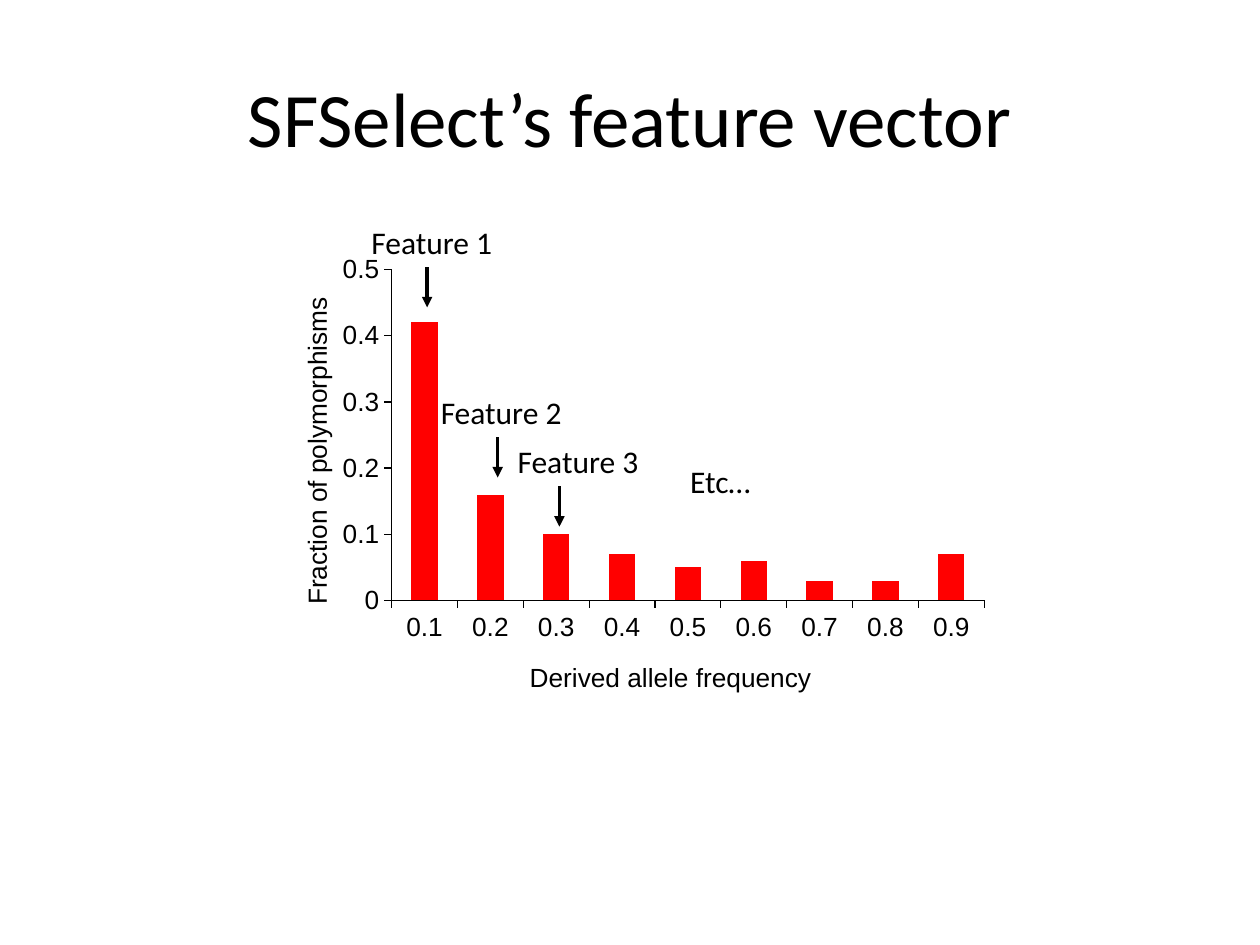
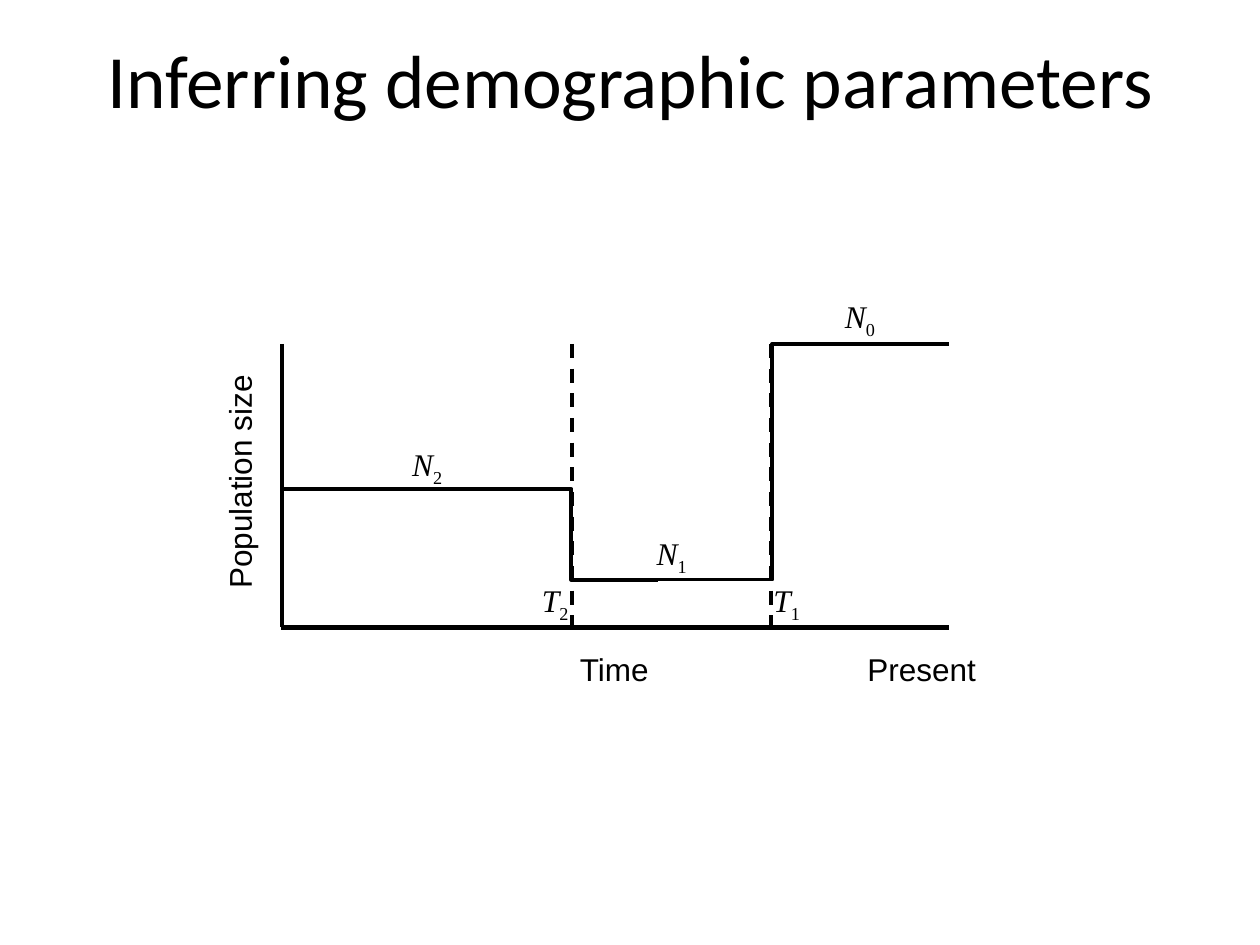
"""Build two slides on a feature vector and on demographic parameters."""
from dataclasses import dataclass

import pptx
import pptx.chart.data
import pptx.dml.color
import pptx.enum.chart
import pptx.enum.dml
import pptx.enum.shapes
import pptx.enum.text
import pptx.oxml.ns
import pptx.oxml.xmlchemy
import pptx.util

Inches = pptx.util.Inches
Pt = pptx.util.Pt
Align = pptx.enum.text.PP_ALIGN
Connector = pptx.enum.shapes.MSO_CONNECTOR
qn = pptx.oxml.ns.qn
new_element = pptx.oxml.xmlchemy.OxmlElement

BLACK = pptx.dml.color.RGBColor(0x00, 0x00, 0x00)
RED = pptx.dml.color.RGBColor(0xFF, 0x00, 0x00)
HEADING_FONT, AXIS_FONT, MATH_FONT = "Calibri", "Arial", "Times New Roman"

FREQUENCIES = [f"0.{tenth}" for tenth in range(1, 10)]
FRACTIONS = [0.42, 0.16, 0.1, 0.07, 0.05, 0.06, 0.03, 0.03, 0.07]


@dataclass(frozen=True)
class Feature:
    """A bar label and the arrow that drops from it."""
    text: str
    left: float
    top: float
    arrow_x: float


@dataclass(frozen=True)
class Symbol:
    """A variable with its subscript, placed in a box."""
    letter: str
    index: str
    left: float
    top: float
    width: float
    align: Align = Align.CENTER


@dataclass(frozen=True)
class Line:
    """A connector between two points."""
    start: tuple[float, float]
    end: tuple[float, float]
    width: float
    kind: Connector = Connector.STRAIGHT
    dashed: bool = False
    bend: float | None = None
    arrow: bool = False


ARROW_LENGTH = 0.32
FEATURES = [
    Feature("Feature 1", 2.85, 1.72, 3.39),
    Feature("Feature 2", 3.4, 3.07, 3.95),
    Feature("Feature 3", 4.01, 3.46, 4.44),
]

ORIGIN_X, PRESENT_X, BASE_Y, TOP_Y = 2.24, 7.53, 4.98, 2.73
T2_X, T1_X, N2_Y, N1_Y = 4.54, 6.12, 3.88, 4.6
LINES = [
    Line((PRESENT_X, BASE_Y), (ORIGIN_X - 0.01, BASE_Y), 2.5),
    Line((ORIGIN_X, TOP_Y), (ORIGIN_X, BASE_Y), 2.5),
    Line((ORIGIN_X, N2_Y), (5.22, N1_Y), 2.25, Connector.ELBOW, bend=0.77),
    Line((4.73, N1_Y), (PRESENT_X, TOP_Y), 2.25, Connector.ELBOW),
    Line((T2_X, TOP_Y), (T2_X, BASE_Y), 2, dashed=True),
    Line((T1_X, TOP_Y), (T1_X, BASE_Y), 2, dashed=True),
]
SYMBOLS = [
    Symbol("N", "2", ORIGIN_X, 3.48, T2_X - ORIGIN_X),
    Symbol("N", "0", T1_X, 2.31, PRESENT_X - T1_X),
    Symbol("N", "1", T2_X, 4.19, T1_X - T2_X),
    Symbol("T", "1", 6.04, 4.56, 2.13, Align.LEFT),
    Symbol("T", "2", 2.48, 4.56, 2.13, Align.RIGHT),
]


def set_font(font, name: str, size: float, italic: bool = False) -> None:
    """Give a font its black regular format."""
    font.name, font.size = name, Pt(size)
    font.bold, font.italic = False, italic
    font.color.rgb = BLACK


def add_text(page, text: str, left: float, top: float, width: float, height: float = 0.4, *,
             font: str = HEADING_FONT, size: float = 18, align: Align = Align.LEFT,
             italic: bool = False, subscript: str = "", wrap: bool = True,
             middle: bool = False, rotation: float = 0) -> None:
    """Add a text box with one paragraph and an optional subscript."""
    box = page.shapes.add_textbox(Inches(left), Inches(top), Inches(width), Inches(height))
    box.rotation = rotation
    frame = box.text_frame
    frame.word_wrap = wrap
    if middle:
        frame.vertical_anchor = pptx.enum.text.MSO_ANCHOR.MIDDLE
    para = frame.paragraphs[0]
    para.alignment = align
    span = para.add_run()
    span.text = text
    set_font(span.font, font, size, italic)
    if subscript:
        span = para.add_run()
        span.text = subscript
        set_font(span.font, font, size)
        span.font._element.set("baseline", "-25000")


def add_title(page, text: str, left: float, top: float, width: float, size: float) -> None:
    """Add the centred slide title."""
    add_text(page, text, left, top, width, 1.25, size=size, align=Align.CENTER, middle=True)


def add_line(page, line: Line) -> None:
    """Draw a connector without a shadow."""
    points = [Inches(value) for value in (*line.start, *line.end)]
    connector = page.shapes.add_connector(line.kind, *points)
    connector.line.color.rgb = BLACK
    connector.line.width = Pt(line.width)
    if line.dashed:
        connector.line.dash_style = pptx.enum.dml.MSO_LINE.DASH
    properties = connector._element.spPr
    if line.arrow:
        tail = new_element("a:tailEnd")
        tail.set("type", "triangle")
        properties.find(qn("a:ln")).append(tail)
    if line.bend is not None:
        guide = new_element("a:gd")
        guide.set("name", "adj1")
        guide.set("fmla", f"val {round(line.bend * 100000)}")
        properties.find(qn("a:prstGeom")).find(qn("a:avLst")).append(guide)
    properties.append(new_element("a:effectLst"))


def set_layout(parent, position: int, **settings) -> None:
    """Place a chart part by fractions of the chart."""
    for old in parent.findall(qn("c:layout")):
        parent.remove(old)
    layout = new_element("c:layout")
    manual = new_element("c:manualLayout")
    layout.append(manual)
    for name, value in settings.items():
        item = new_element(f"c:{name}")
        item.set("val", str(value))
        manual.append(item)
    parent.insert(position, layout)


def format_axis(axis, title: str, x: float, y: float) -> None:
    """Give an axis its title, line and outer ticks."""
    axis.has_major_gridlines = False
    axis.major_tick_mark = pptx.enum.chart.XL_TICK_MARK.OUTSIDE
    axis.format.line.color.rgb = BLACK
    axis.format.line.width = Pt(0.75)
    para = axis.axis_title.text_frame.paragraphs[0]
    span = para.add_run()
    span.text = title
    set_font(span.font, AXIS_FONT, 15)
    set_layout(axis.axis_title._element, 1, xMode="edge", yMode="edge", x=x, y=y)


def add_spectrum(page) -> None:
    """Add the column chart of allele frequencies."""
    values = pptx.chart.data.CategoryChartData()
    values.categories = FREQUENCIES
    values.add_series("Series 1", FRACTIONS)
    chart = page.shapes.add_chart(
        pptx.enum.chart.XL_CHART_TYPE.COLUMN_CLUSTERED,
        Inches(2.05), Inches(1.92), Inches(5.88), Inches(3.65), values).chart
    set_font(chart.font, AXIS_FONT, 15)
    chart.has_legend = chart.has_title = False
    plot = chart.plots[0]
    plot.gap_width = 150
    plot.vary_by_categories = False
    fill = plot.series[0].format.fill
    fill.solid()
    fill.fore_color.rgb = RED
    format_axis(chart.category_axis, "Derived allele frequency", 0.36, 0.9)
    format_axis(chart.value_axis, "Fraction of polymorphisms", 0.05, 0.11)
    chart.value_axis.minimum_scale, chart.value_axis.maximum_scale = 0, 0.5
    chart.value_axis.major_unit = 0.1
    chart.value_axis.tick_labels.number_format = "General"
    chart.value_axis.tick_labels.number_format_is_linked = False
    set_layout(chart._chartSpace.chart.plotArea, 0, layoutTarget="inner",
               xMode="edge", yMode="edge", x=0.18, y=0.06, w=0.8, h=0.72)


def build_feature_slide(page) -> None:
    """Build the slide on the feature vector."""
    add_title(page, "SFSelect’s feature vector", 0.5, 0.3, 9, 44)
    add_spectrum(page)
    for feature in FEATURES:
        add_text(page, feature.text, feature.left, feature.top, 1.17, wrap=False)
        start_y = feature.top + 0.4
        add_line(page, Line((feature.arrow_x, start_y),
                            (feature.arrow_x, start_y + ARROW_LENGTH), 2, arrow=True))
    add_text(page, "Etc…", 5.38, 3.62, 0.7, wrap=False)


def build_demography_slide(page) -> None:
    """Build the slide on population size over time."""
    for line in LINES:
        add_line(page, line)
    for symbol in SYMBOLS:
        add_text(page, symbol.letter, symbol.left, symbol.top, symbol.width, font=MATH_FONT,
                 align=symbol.align, italic=True, subscript=symbol.index)
    axis_style = {"font": AXIS_FONT, "align": Align.CENTER}
    add_text(page, "Population size", 0.87, 3.56, 2.19, 0.53, rotation=270, **axis_style)
    add_text(page, "Time", 2.22, 5.11, 5.31, **axis_style)
    add_text(page, "Present", T1_X, 5.11, 2.39, **axis_style)
    add_title(page, "Inferring demographic parameters", 0, 0, 10, 43)


def main() -> None:
    """Build and save the deck."""
    deck = pptx.Presentation()
    deck.slide_width, deck.slide_height = Inches(10), Inches(7.5)
    for build in (build_feature_slide, build_demography_slide):
        build(deck.slides.add_slide(deck.slide_layouts[6]))
    deck.save("out.pptx")


if __name__ == "__main__":
    main()
